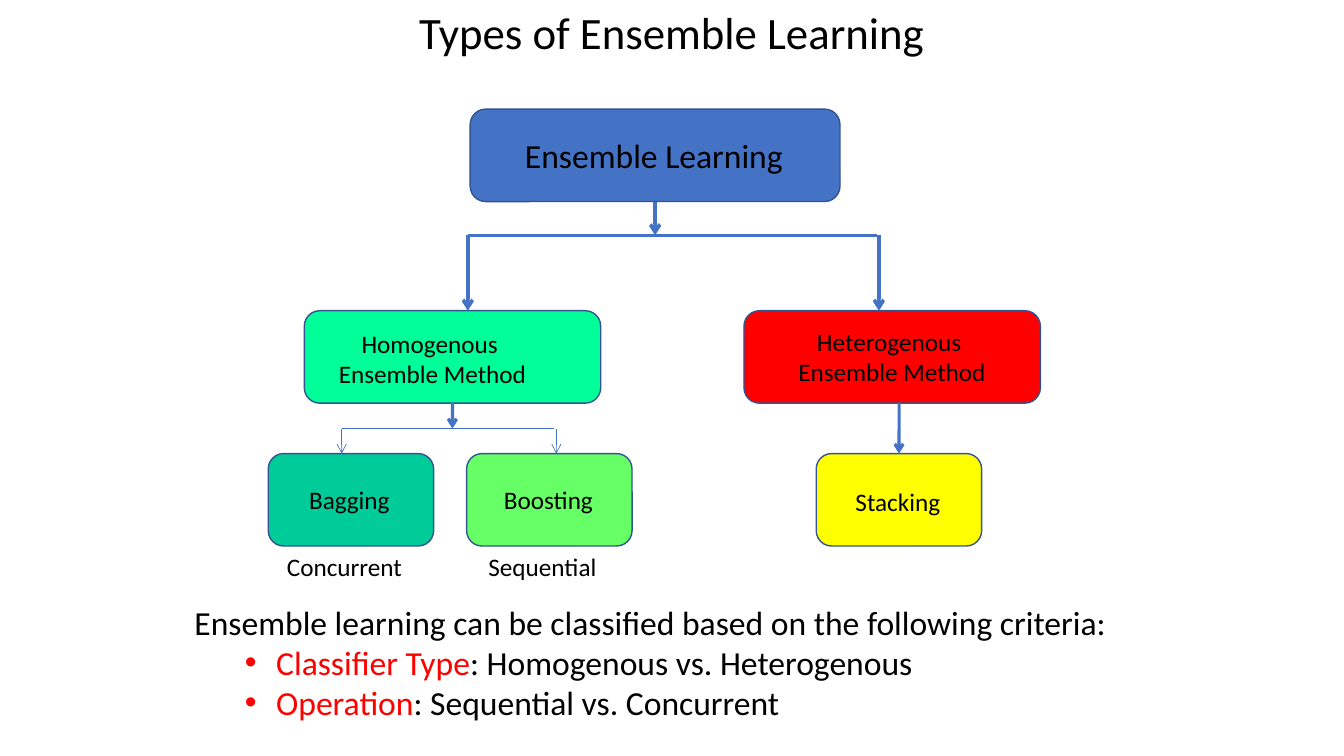
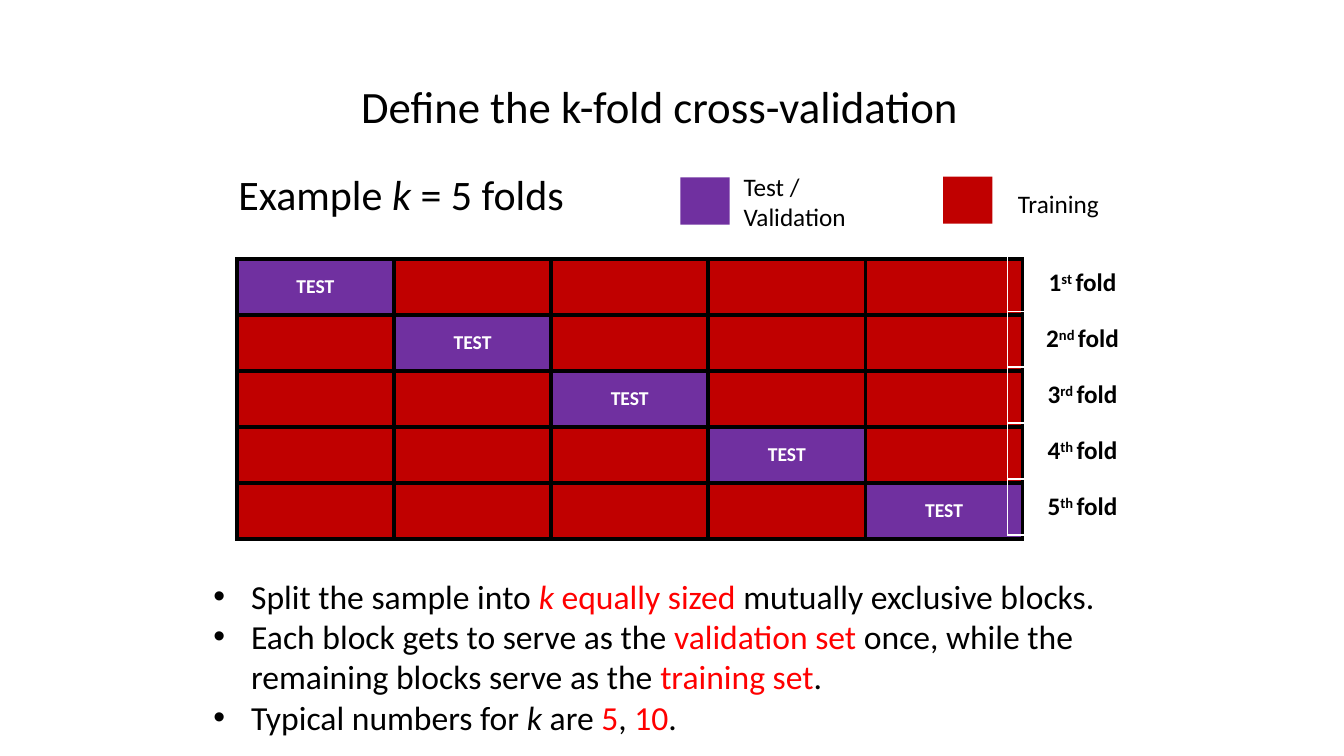
from lxml.etree import SubElement
from pptx import Presentation
from pptx.dml.color import RGBColor
from pptx.enum.shapes import MSO_CONNECTOR, MSO_SHAPE
from pptx.enum.text import MSO_ANCHOR, MSO_AUTO_SIZE, PP_ALIGN
from pptx.oxml.ns import qn
from pptx.util import Cm, Pt

FONT = "Calibri"
BLACK, WHITE, RED = "000000", "FFFFFF", "FF0000"
BLUE, EDGE = "4472C4", "325491"
TEST, TRAIN = "7030A0", "C00000"
TITLE_SIZE, BODY_SIZE, LABEL_SIZE = 32, 24, 18

BOX_H = 2.33
ROOT_W, METHOD_W, LEAF_W = 9.32, 7.47, 4.17
ROOT_Y, METHOD_Y, LEAF_Y = 2.75, 7.83, 11.43
BOXES = {
    "root": (11.85, ROOT_Y, ROOT_W, BLUE),
    "homogenous": (7.67, METHOD_Y, METHOD_W, "00FF99"),
    "heterogenous": (18.75, METHOD_Y, METHOD_W, RED),
    "bagging": (6.76, LEAF_Y, LEAF_W, "00CC99"),
    "boosting": (11.76, LEAF_Y, LEAF_W, "66FF66"),
    "stacking": (20.57, LEAF_Y, LEAF_W, "FFFF00"),
}
BOX_LABELS = [
    (["Ensemble Learning"], 12.98, 3.28, 7.09, 1.27, BODY_SIZE),
    (["Homogenous ", "Ensemble Method"], 8.26, 8.15, 5.28, 1.8, LABEL_SIZE),
    (["Heterogenous ", "Ensemble Method"], 19.84, 8.1, 5.28, 1.8, LABEL_SIZE),
    (["Bagging"], 7.54, 12.07, 2.57, 1.02, LABEL_SIZE),
    (["Boosting"], 12.45, 12.07, 2.77, 1.02, LABEL_SIZE),
    (["Stacking"], 21.31, 12.12, 2.67, 1.02, LABEL_SIZE),
    (["Concurrent"], 6.98, 13.77, 3.45, 1.02, LABEL_SIZE),
    (["Sequential"], 12.06, 13.77, 3.28, 1.02, LABEL_SIZE),
]
BAR_1, BAR_2 = 5.93, 10.8
LINKS = [
    (16.51, ROOT_Y + BOX_H, 16.51, BAR_1, 2.5, True, "root", None),
    (11.79, BAR_1, 22.1, BAR_1, 2.5, False, None, None),
    (11.79, BAR_1, 11.79, METHOD_Y, 2.5, True, None, None),
    (22.15, BAR_1, 22.15, METHOD_Y, 2.5, True, None, None),
    (11.4, METHOD_Y + BOX_H, 11.4, BAR_2, 2.25, True, "homogenous", None),
    (8.61, BAR_2, 13.97, BAR_2, 0.5, False, None, None),
    (8.61, BAR_2, 8.61, LEAF_Y, 0.5, True, None, None),
    (14.02, BAR_2, 14.02, LEAF_Y, 0.5, True, None, None),
    (22.66, METHOD_Y + BOX_H, 22.66, LEAF_Y, 2.25, True, None, "stacking"),
]
CRITERIA_INTRO = "Ensemble learning can be classified based on the following criteria:"
CRITERIA = [
    [("Classifier Type", "red"), ": Homogenous vs. Heterogenous"],
    [("Operation", "red"), ": Sequential vs. Concurrent"],
]

EXAMPLE = ["Example ", ("k ", "italic"), "= 5 folds "]
LEGEND = [
    ("Test / Validation", TEST, 17.15, 4.47, 18.49, 4.19, 1.8),
    ("Training", TRAIN, 23.77, 4.45, 25.4, 4.62, 1.02),
]
ORDINALS = ["st ", "nd ", "rd ", "th ", "th "]
FOLDS = len(ORDINALS)
COL_W, ROW_H, FOLD_W = 3.96, 1.41, 3.76
STEPS = [
    ["Split the sample into ", ("k", "red italic"), (" equally sized ", "red"),
     "mutually exclusive blocks."],
    ["Each block gets to serve as the ", ("validation set ", "red"),
     "once, while the remaining blocks serve as the ", ("training set", "red"), "."],
    ["Typical numbers for ", ("k", "italic"), " are ", ("5", "red"), ",",
     (" 10", "red"), "."],
]


def rgb(color):
    return RGBColor.from_string(color)


def add_runs(p, runs, size, color=BLACK, bold=False):
    for run in [runs] if isinstance(runs, str) else runs:
        text, style = (run, "") if isinstance(run, str) else run
        r = p.add_run()
        r.text = text
        font = r.font
        font.name, font.size, font.bold = FONT, Pt(size), bold
        font.italic = "italic" in style
        font.color.rgb = rgb(RED if "red" in style else color)
        if "super" in style:
            font._element.set("baseline", "30000")


def add_bullet(p, margin, hanging):
    pPr = p._p.get_or_add_pPr()
    pPr.set("marL", str(Cm(margin)))
    pPr.set("indent", str(-Cm(hanging)))
    SubElement(pPr, qn("a:buFont")).set("typeface", "Arial")
    SubElement(pPr, qn("a:buChar")).set("char", "•")


def add_text(s, paragraphs, x, y, w, h, size, align=PP_ALIGN.LEFT, wrap=True):
    tf = s.shapes.add_textbox(Cm(x), Cm(y), Cm(w), Cm(h)).text_frame
    tf.word_wrap = wrap
    tf.auto_size = MSO_AUTO_SIZE.SHAPE_TO_FIT_TEXT
    for i, runs in enumerate(paragraphs):
        p = tf.add_paragraph() if i else tf.paragraphs[0]
        p.alignment = align
        add_runs(p, runs, size)
    return tf


def add_title(s, text, x, y, w, h):
    tf = add_text(s, [text], x, y, w, h, TITLE_SIZE, PP_ALIGN.CENTER)
    tf.auto_size = MSO_AUTO_SIZE.NONE
    return tf


def add_box(s, kind, x, y, w, h, fill, edge=None):
    sp = s.shapes.add_shape(kind, Cm(x), Cm(y), Cm(w), Cm(h))
    sp.shadow.inherit = False
    sp.fill.solid()
    sp.fill.fore_color.rgb = rgb(fill)
    if edge:
        sp.line.color.rgb = rgb(edge)
        sp.line.width = Pt(1)
    else:
        sp.line.fill.background()
    return sp


def add_link(s, x1, y1, x2, y2, width, arrow, start, end):
    line = s.shapes.add_connector(MSO_CONNECTOR.STRAIGHT, Cm(x1), Cm(y1), Cm(x2), Cm(y2))
    line.line.color.rgb = rgb(BLUE)
    line.line.width = Pt(width)
    if arrow:
        SubElement(line.line._get_or_add_ln(), qn("a:tailEnd")).set("type", "arrow")
    SubElement(line._element.spPr, qn("a:effectLst"))
    if start:
        line.begin_connect(start, 2)
    if end:
        line.end_connect(end, 0)


def add_grid(s, cols, x, y, col_w):
    frame = s.shapes.add_table(FOLDS, cols, Cm(x), Cm(y), Cm(col_w * cols), Cm(ROW_H * FOLDS))
    table = frame.table
    table.first_row = table.horz_banding = False
    for col in table.columns:
        col.width = Cm(col_w)
    for row in table.rows:
        row.height = Cm(ROW_H)
    for cell in table.iter_cells():
        cell.vertical_anchor = MSO_ANCHOR.MIDDLE
        cell.margin_left = cell.margin_right = Cm(0.18)
        cell.margin_top = cell.margin_bottom = Cm(0.1)
        cell.text_frame.paragraphs[0].alignment = PP_ALIGN.CENTER
    return table


def add_borders(cell):
    tcPr = cell._tc.get_or_add_tcPr()
    for side in ("lnL", "lnR", "lnT", "lnB"):
        ln = SubElement(tcPr, qn(f"a:{side}"), w=str(Pt(3)))
        fill = SubElement(ln, qn("a:solidFill"))
        SubElement(fill, qn("a:srgbClr")).set("val", BLACK)


def build_types(s):
    add_title(s, "Types of Ensemble Learning", 4.23, 0, 25.4, BOX_H)
    boxes = {
        name: add_box(s, MSO_SHAPE.ROUNDED_RECTANGLE, x, y, w, BOX_H, fill, EDGE)
        for name, (x, y, w, fill) in BOXES.items()
    }
    for *ends, width, arrow, start, end in LINKS:
        add_link(s, *ends, width, arrow, boxes.get(start), boxes.get(end))
    for lines, x, y, w, h, size in BOX_LABELS:
        align = PP_ALIGN.CENTER if len(lines) > 1 else PP_ALIGN.LEFT
        add_text(s, lines, x, y, w, h, size, align, wrap=False)
    tf = add_text(s, [CRITERIA_INTRO] + CRITERIA, 4.65, 15.03, 24.56, 3.33, BODY_SIZE)
    for p in tf.paragraphs[1:]:
        p.level = 1
        add_bullet(p, 2.06, 0.79)


def build_folds(s):
    tf = add_title(s, "Define the k-fold cross-validation", 5.36, 1.37, 22.53, 2.77)
    tf.vertical_anchor = MSO_ANCHOR.MIDDLE
    tf.paragraphs[0].line_spacing = 0.9
    add_text(s, [EXAMPLE], 3.84, 4.11, 12.78, 1.55, 30, PP_ALIGN.CENTER)
    for text, fill, box_x, box_y, x, y, h in LEGEND:
        add_box(s, MSO_SHAPE.RECTANGLE, box_x, box_y, 1.24, 1.19, fill)
        add_text(s, [text], x, y, 4.39, h, LABEL_SIZE)

    blocks = add_grid(s, FOLDS, 5.97, 6.53, COL_W)
    for i, cell in enumerate(blocks.iter_cells()):
        row, col = divmod(i, FOLDS)
        add_borders(cell)
        cell.fill.solid()
        cell.fill.fore_color.rgb = rgb(TEST if row == col else TRAIN)
        if row == col:
            add_runs(cell.text_frame.paragraphs[0], "TEST", 14, WHITE, bold=True)

    names = add_grid(s, 1, 25.4, 6.43, FOLD_W)
    for i, cell in enumerate(names.iter_cells()):
        cell.fill.background()
        runs = [str(i + 1), (ORDINALS[i], "super"), "fold"]
        add_runs(cell.text_frame.paragraphs[0], runs, LABEL_SIZE, bold=True)

    tf = add_text(s, STEPS, 5.13, 14.38, 24.03, 4.37, BODY_SIZE)
    for p in tf.paragraphs:
        add_bullet(p, 0.95, 0.95)


def main():
    prs = Presentation()
    prs.slide_width, prs.slide_height = Cm(33.87), Cm(19.05)
    for build in (build_types, build_folds):
        build(prs.slides.add_slide(prs.slide_layouts[6]))
    prs.save("out.pptx")


if __name__ == "__main__":
    main()
